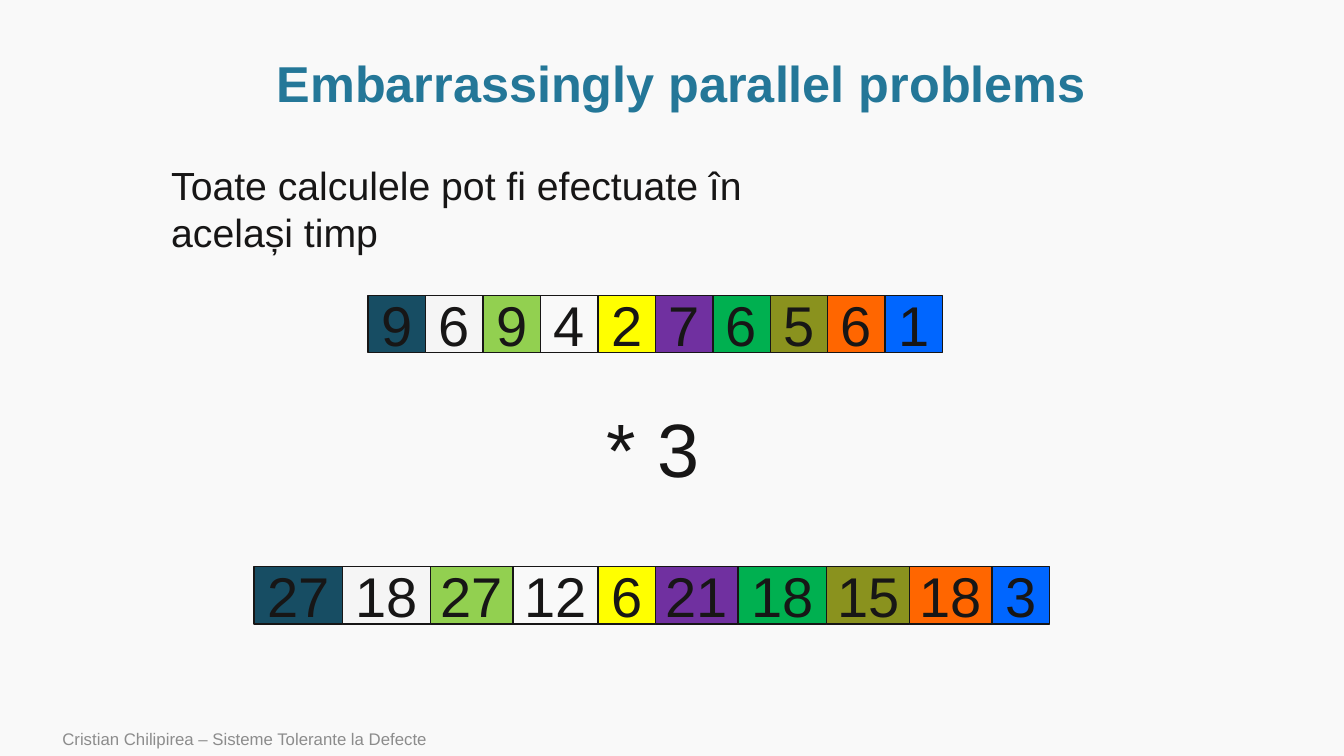
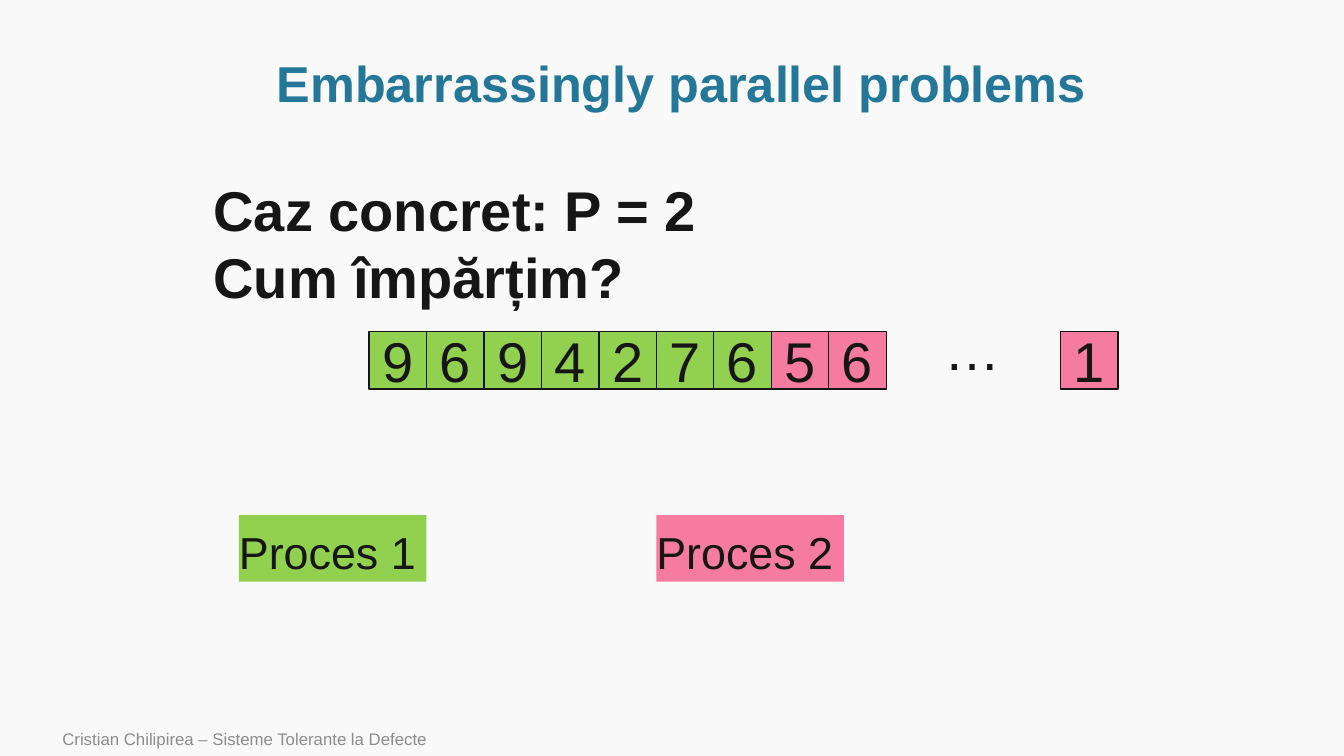
from dataclasses import dataclass

from pptx import Presentation
from pptx import util as u
from pptx.dml.color import RGBColor
from pptx.enum import shapes, text


@dataclass(frozen=True)
class Theme:
    font: str = "Arial"
    background: str = "F9F9F9"
    ink: str = "171616"
    title: str = "247798"
    footer: str = "8C8C8C"
    navy: str = "174D63"
    pale: str = "F5F5F5"
    green: str = "92D050"
    yellow: str = "FFFF00"
    purple: str = "7030A0"
    emerald: str = "00B050"
    olive: str = "8A921E"
    orange: str = "FF6600"
    blue: str = "0066FF"
    pink: str = "F57BA1"
    footer_size: int = 12
    body_size: int = 28
    label_size: int = 32
    title_size: int = 36
    number_size: int = 40
    operation_size: int = 54


THEME = Theme()
CELL = 0.57
CENTER = text.PP_ALIGN.CENTER
MIDDLE = text.MSO_ANCHOR.MIDDLE
TOP = text.MSO_ANCHOR.TOP


def write(shape, content, *, size, color=THEME.ink, bold=False, align=text.PP_ALIGN.LEFT,
          anchor=TOP, wrap=True, spacing=None, insets=(0.1, 0.05, 0.1, 0.05)):
    """Fill a shape with text, one paragraph per line; insets run left, top, right, bottom."""
    frame = shape.text_frame
    frame.word_wrap = wrap
    frame.vertical_anchor = anchor
    frame.margin_left, frame.margin_top, frame.margin_right, frame.margin_bottom = map(u.Inches, insets)
    frame.text = content
    for paragraph in frame.paragraphs:
        paragraph.alignment = align
        if spacing:
            paragraph.line_spacing = spacing
        font = paragraph.font
        font.name, font.size, font.bold = THEME.font, u.Pt(size), bold
        font.color.rgb = RGBColor.from_string(color)


class Deck:
    def __init__(self):
        self.presentation = Presentation()
        self.presentation.slide_width = u.Inches(13.33)
        self.presentation.slide_height = u.Inches(7.5)
        self.slide = None

    def add_slide(self, title):
        self.slide = self.presentation.slides.add_slide(self.presentation.slide_layouts[6])
        fill = self.slide.background.fill
        fill.solid()
        fill.fore_color.rgb = RGBColor.from_string(THEME.background)
        self.text_box("Cristian Chilipirea – Sisteme Tolerante la Defecte", 0.52, 7.16, 8.4, 0.34,
                      size=THEME.footer_size, color=THEME.footer, anchor=MIDDLE)
        self.text_box(title, 1.01, 0.51, 11.5, 0.69, size=THEME.title_size, color=THEME.title,
                      bold=True, align=CENTER, anchor=MIDDLE, spacing=0.9)

    def text_box(self, content, left, top, width, height, **style):
        box = self.slide.shapes.add_textbox(*map(u.Inches, (left, top, width, height)))
        write(box, content, **style)

    def rectangle(self, content, left, top, width, height, fill, outline=None, **style):
        shape = self.slide.shapes.add_shape(
            shapes.MSO_SHAPE.RECTANGLE, *map(u.Inches, (left, top, width, height)))
        shape.shadow.inherit = False
        if fill:
            shape.fill.solid()
            shape.fill.fore_color.rgb = RGBColor.from_string(fill)
        else:
            shape.fill.background()
        if outline:
            shape.line.color.rgb = RGBColor.from_string(outline)
            shape.line.width = u.Pt(1)
        else:
            shape.line.fill.background()
        write(shape, content, **style)

    def number_row(self, left, top, numbers, fills, widths=None):
        """Draw adjoining number cells, all square unless widths are given."""
        for number, fill, width in zip(numbers, fills, widths or [CELL] * len(numbers)):
            self.rectangle(str(number), left, top, width, CELL, fill, outline=THEME.ink,
                           size=THEME.number_size, align=CENTER, anchor=MIDDLE,
                           insets=(0, 0.05, 0, 0.05))
            left += width

    def process_label(self, content, left, fill):
        self.rectangle(content, left, 5.11, 1.86, 0.66, fill, size=THEME.label_size,
                       insets=(0, 0.1, 0, 0.05))


def build_multiplication(deck):
    numbers = [9, 6, 9, 4, 2, 7, 6, 5, 6, 1]
    fills = [THEME.navy, THEME.pale, THEME.green, None, THEME.yellow, THEME.purple,
             THEME.emerald, THEME.olive, THEME.orange, THEME.blue]
    product_widths = [0.88, 0.87, 0.82, 0.84, CELL, 0.82, 0.88, 0.82, 0.82, CELL]
    deck.number_row(3.65, 2.93, numbers, fills)
    deck.number_row(2.52, 5.62, [3 * number for number in numbers], fills, product_widths)
    deck.text_box("* 3", 5.92, 3.94, 1.13, 1.01, size=THEME.operation_size, wrap=False)
    deck.text_box("Toate calculele pot fi efectuate în același timp", 1.6, 1.55, 6.93, 1.04,
                  size=THEME.body_size)


def build_two_processes(deck):
    row_top = 3.29
    deck.number_row(3.66, row_top, [9, 6, 9, 4, 2, 7, 6, 5, 6],
                    [THEME.green] * 7 + [THEME.pink] * 2)
    deck.number_row(10.52, row_top, [1], [THEME.pink])
    deck.text_box("Caz concret: P = 2\nCum împărțim?", 2.02, 1.69, 6.2, 1.45,
                  size=THEME.number_size, bold=True)
    deck.text_box("…", 9.27, 3.07, 0.76, 0.77, size=THEME.number_size, wrap=False)
    deck.process_label("Proces 1", 2.37, THEME.green)
    deck.process_label("Proces 2", 6.51, THEME.pink)


def main():
    deck = Deck()
    for build in (build_multiplication, build_two_processes):
        deck.add_slide("Embarrassingly parallel problems")
        build(deck)
    deck.presentation.save("out.pptx")


if __name__ == "__main__":
    main()
